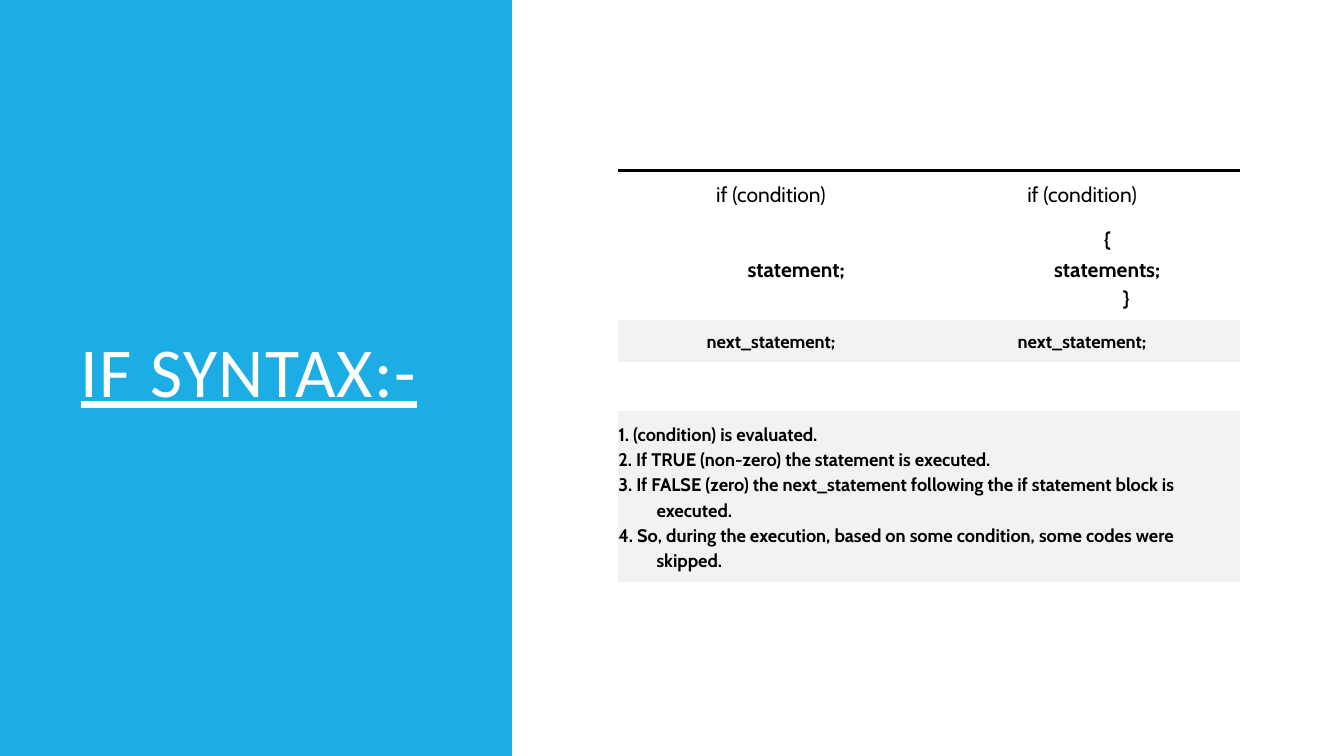
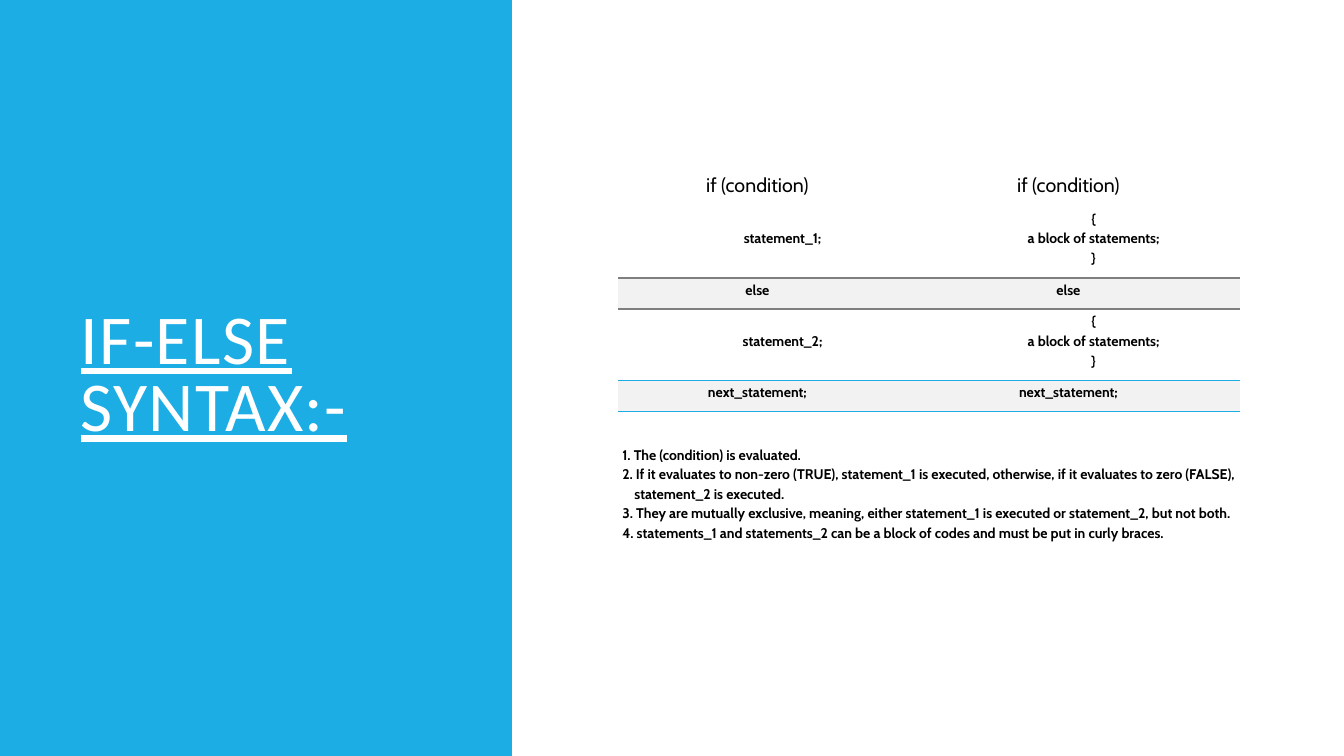
"""Build two slides that explain the if and if-else syntax."""
from dataclasses import dataclass
from typing import Optional

from lxml.etree import SubElement
from pptx import Presentation
from pptx.dml.color import RGBColor
from pptx.enum.shapes import MSO_SHAPE
from pptx.enum.text import MSO_ANCHOR, PP_ALIGN
from pptx.oxml.ns import qn
from pptx.util import Inches, Pt

WIDTH, HEIGHT = Inches(13.33), Inches(7.5)
NO_STYLE = "{2D5ABB26-0587-4C30-8999-92F81FD0307C}"


@dataclass(frozen=True)
class Theme:
    """Colours, fonts and type sizes of the deck."""
    accent: str = "1CADE4"
    white: str = "FFFFFF"
    ink: str = "000000"
    band: str = "F2F2F2"
    rule: str = "7F7F7F"
    title_font: str = "Calibri"
    body_font: str = "Cabin"
    title: int = 50
    head_large: int = 15
    head: int = 14
    body: int = 13
    small: int = 10


T = Theme()


@dataclass
class Row:
    """One table row: a single cell spans all columns."""
    weight: int
    cells: tuple
    size: int
    bold: bool = True
    fill: Optional[str] = None
    top: Optional[tuple] = None
    indent: float = 0
    hang: float = 0
    anchor: MSO_ANCHOR = MSO_ANCHOR.MIDDLE


def across(percent):
    """Return a share of the slide width."""
    return round(WIDTH * percent / 100)


def down(percent):
    """Return a share of the slide height."""
    return round(HEIGHT * percent / 100)


def write(p, text, size=T.body, font=T.body_font, color=T.ink, bold=False,
          underline=False, track=0, spacing=1.15, align=PP_ALIGN.LEFT,
          indent=0, hang=0):
    """Write formatted text into a paragraph."""
    p.alignment, p.line_spacing = align, spacing
    pPr = p._p.get_or_add_pPr()
    pPr.set("marL", str(Inches(indent)))
    pPr.set("indent", str(-Inches(hang)))
    r = p.add_run()
    r.text = text
    r.font.name, r.font.size = font, Pt(size)
    r.font.bold, r.font.underline = bold, underline
    r.font.color.rgb = RGBColor.from_string(color)
    if track:
        r._r.get_or_add_rPr().set("spc", str(track * 100))


def add_panel(s, text):
    """Add the coloured side panel with the slide title."""
    sp = s.shapes.add_shape(MSO_SHAPE.RECTANGLE, 0, 0, across(38.1), HEIGHT)
    sp.shadow.inherit = False
    sp.fill.solid()
    sp.fill.fore_color.rgb = RGBColor.from_string(T.accent)
    sp.line.fill.background()
    box = s.shapes.add_textbox(across(5.25), down(9.33), across(28.06), down(81.2))
    tf = box.text_frame
    tf.word_wrap, tf.vertical_anchor = True, MSO_ANCHOR.MIDDLE
    write(tf.paragraphs[0], text, size=T.title, font=T.title_font,
          color=T.white, underline=True, track=1, spacing=0.8)


def add_top_border(cell, color, width):
    """Draw a line along the top of a cell."""
    tcPr = cell._tc.get_or_add_tcPr()
    ln = SubElement(tcPr, qn("a:lnT"), w=str(Pt(width)))
    fill = SubElement(ln, qn("a:solidFill"))
    SubElement(fill, qn("a:srgbClr"), val=color)
    tcPr.insert(0, ln)


def fill_cell(cell, row, lines, align, margins):
    """Format one cell and write its lines."""
    cell.margin_left, cell.margin_top, cell.margin_right, cell.margin_bottom = (
        Inches(m) for m in margins)
    cell.vertical_anchor = row.anchor
    if row.fill:
        cell.fill.solid()
        cell.fill.fore_color.rgb = RGBColor.from_string(row.fill)
    else:
        cell.fill.background()
    if row.top:
        add_top_border(cell, *row.top)
    tf = cell.text_frame
    for i, line in enumerate(lines):
        p = tf.paragraphs[0] if i == 0 else tf.add_paragraph()
        text, indent, hang = ((line, row.indent, row.hang)
                              if isinstance(line, str) else (*line, 0))
        write(p, text, size=row.size, bold=row.bold, align=align,
              indent=indent, hang=hang)


def add_syntax_table(s, rows, columns, top, height, margins):
    """Add a table whose columns and rows share its size by weight."""
    left, width = across(46), across(46.29)
    frame = s.shapes.add_table(len(rows), len(columns), left, down(top),
                               width, down(height))
    frame.element.find(".//" + qn("a:tableStyleId")).text = NO_STYLE
    table = frame.table
    table.first_row = table.horz_banding = False
    for column, weight in zip(table.columns, columns):
        column.width = round(width * weight / sum(columns))
    total = sum(row.weight for row in rows)
    for i, row in enumerate(rows):
        table.rows[i].height = round(down(height) * row.weight / total)
        spans = len(row.cells) == 1
        if spans:
            table.cell(i, 0).merge(table.cell(i, len(columns) - 1))
        align = PP_ALIGN.LEFT if spans else PP_ALIGN.CENTER
        for j, lines in enumerate(row.cells):
            fill_cell(table.cell(i, j), row, lines, align, margins)


def add_slide(prs, title, rows, **layout):
    """Add a slide with its title panel and syntax table."""
    s = prs.slides.add_slide(prs.slide_layouts[6])
    add_panel(s, title)
    add_syntax_table(s, rows, **layout)


def main():
    """Build and save the deck."""
    prs = Presentation()
    prs.slide_width, prs.slide_height = WIDTH, HEIGHT
    condition = (("if (condition)",),) * 2
    following = (("next_statement;",),) * 2
    block = ("{", "a block of statements;", "}")

    if_rows = [
        Row(45, condition, T.head_large, bold=False, top=(T.ink, 2.25)),
        Row(103, (("statement;",), ("{", "statements;", ("}", 0.88))),
            T.head_large, indent=0.5),
        Row(42, following, T.body, fill=T.band),
        Row(49, ((), ()), T.body),
        Row(169, ((
            "1. (condition) is evaluated.",
            "2. If TRUE (non-zero) the statement is executed.",
            "3. If FALSE (zero) the next_statement following the if statement "
            "block is executed.",
            "4. So, during the execution, based on some condition, some codes "
            "were skipped.",
        ),), T.body, fill=T.band, indent=0.38, hang=0.38),
    ]
    add_slide(prs, "IF SYNTAX:-", if_rows, columns=(303, 314), top=22.53,
              height=54.4, margins=(0, 0.08, 0, 0.08))

    else_rows = [
        Row(37, condition, T.head, bold=False, anchor=MSO_ANCHOR.BOTTOM),
        Row(71, (("statement_1;",), block), T.small, indent=0.5),
        Row(31, (("else",),) * 2, T.small, fill=T.band, top=(T.rule, 1)),
        Row(71, (("statement_2;",), block), T.small, indent=0.5),
        Row(31, following, T.small, fill=T.band, top=(T.accent, 1)),
        Row(171, ((
            "1. The (condition) is evaluated.",
            "2. If it evaluates to non-zero (TRUE), statement_1 is executed, "
            "otherwise, if it evaluates to zero (FALSE),",
            ("statement_2 is executed.", 0.12),
            "3. They are mutually exclusive, meaning, either statement_1 is "
            "executed or statement_2, but not both.",
            "4. statements_1 and statements_2 can be a block of codes and must "
            "be put in curly braces.",
        ),), T.small, indent=0.38, hang=0.38),
    ]
    add_slide(prs, "IF-ELSE SYNTAX:-", else_rows, columns=(276, 341), top=22.4,
              height=54.8, margins=(0.04, 0, 0.04, 0.09))
    prs.save("out.pptx")


if __name__ == "__main__":
    main()
